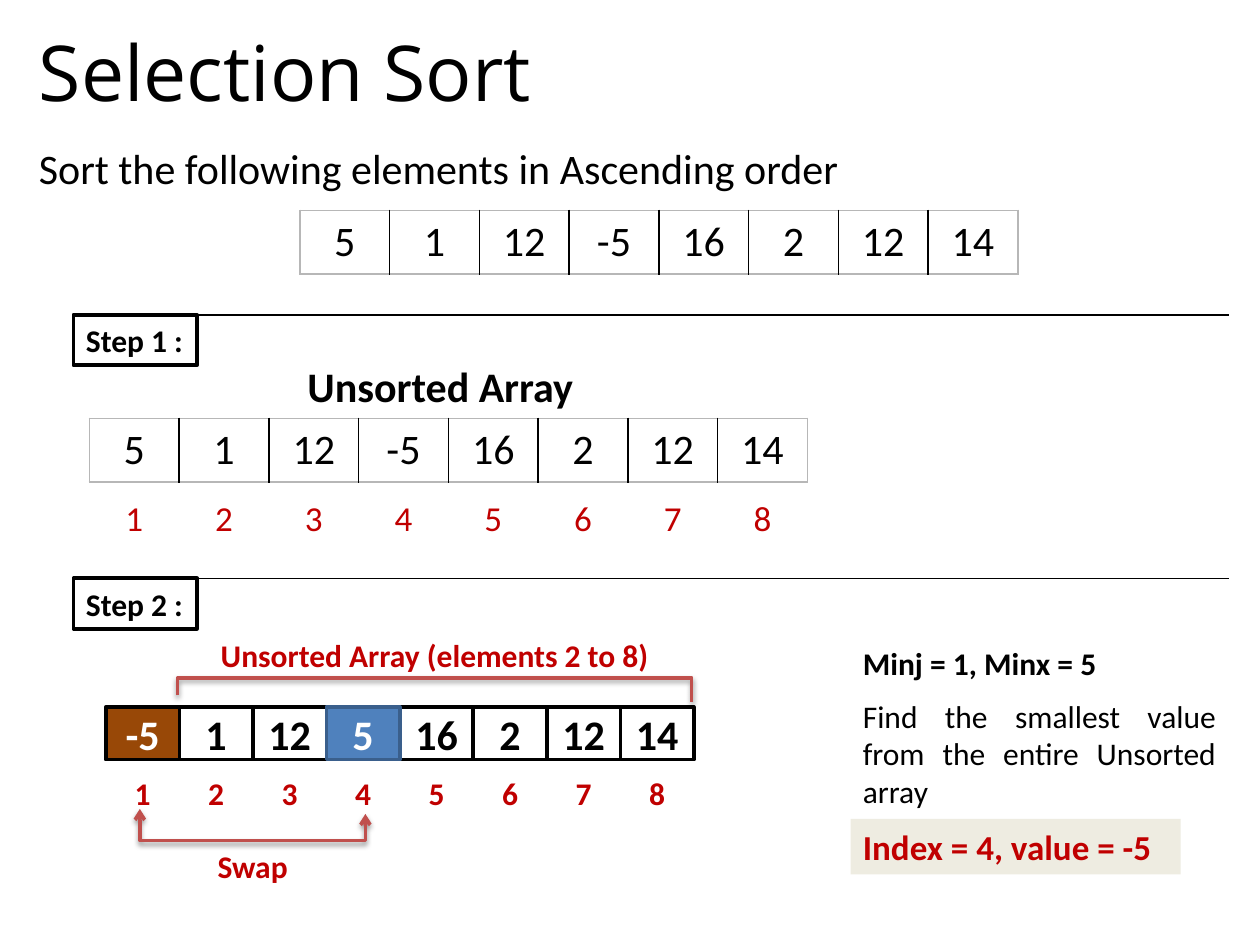
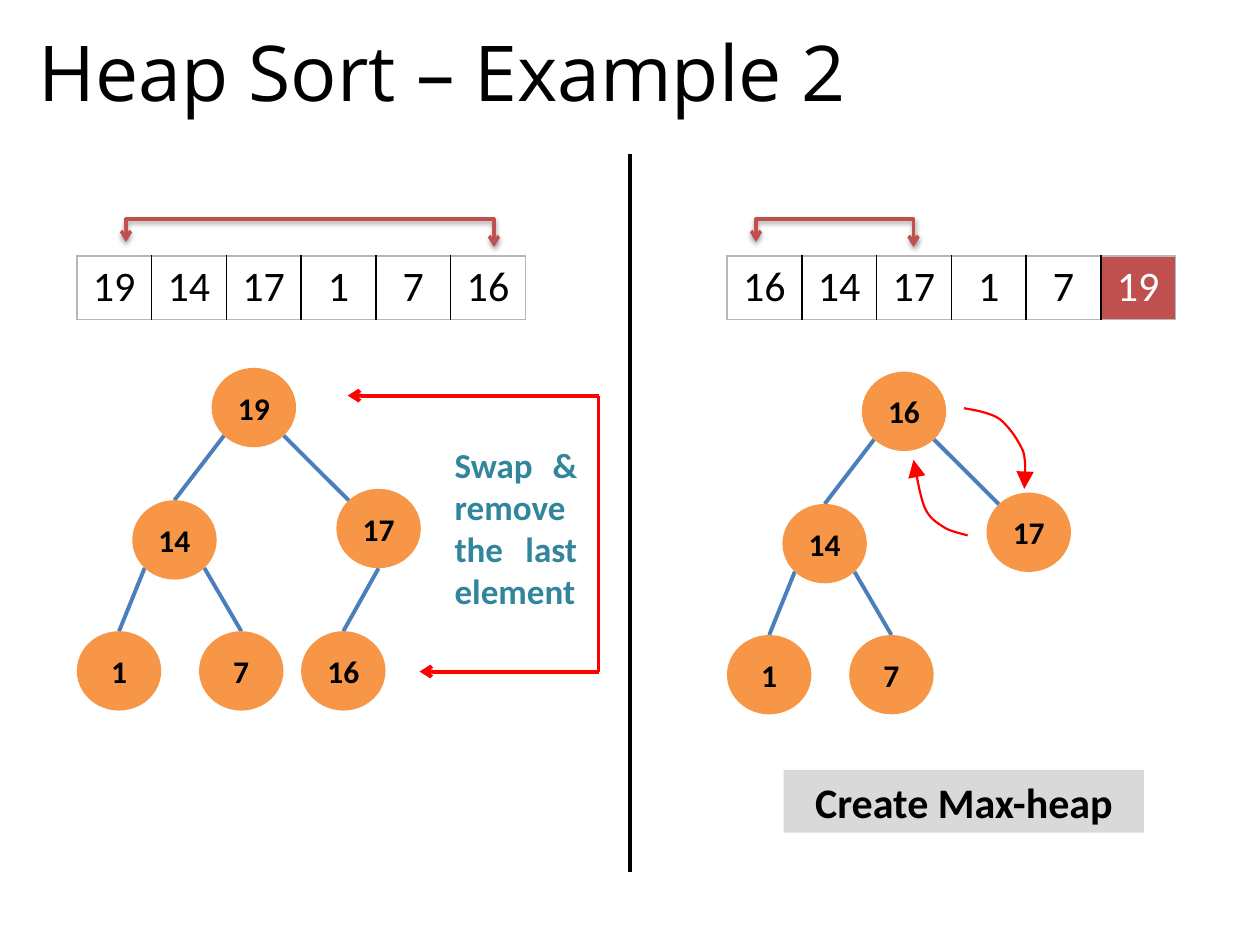
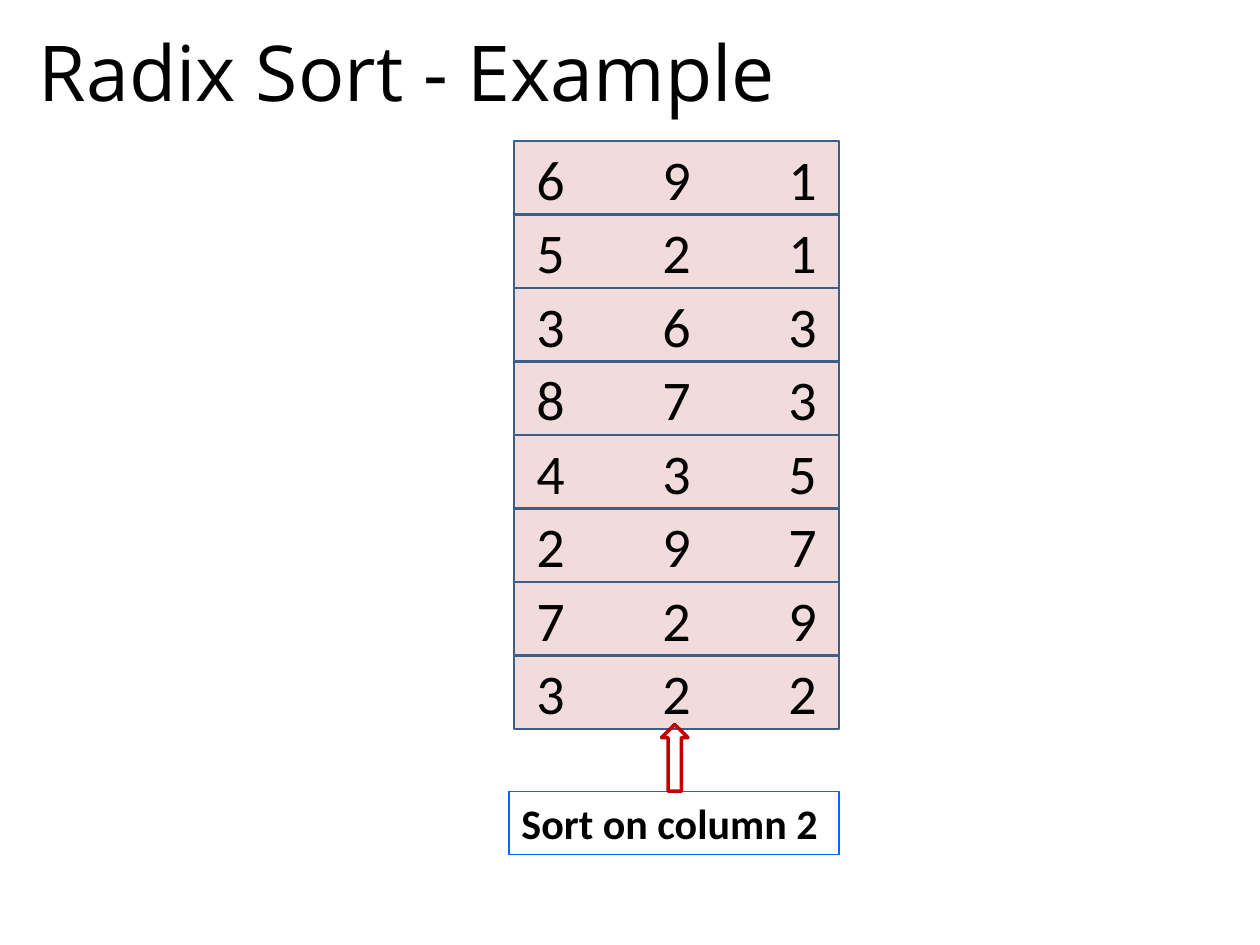
import math
from lxml import etree
from pptx import Presentation, util as u
from pptx.dml.color import RGBColor
from pptx.enum import shapes as sh, text as t
from pptx.oxml.ns import qn

COLS, ROWS = 10, 7.5  # the slide's grid of one-inch squares
UNIT = u.Inches(1)
C = {
    "black": "000000", "white": "FFFFFF", "red": "FF0000", "dark_red": "C00000",
    "brick": "C0504D", "brown": "984807", "blue": "4F81BD", "navy": "3A5F8C",
    "edge": "4B7EBC", "orange": "F79646", "teal": "31859C", "cream": "EEECE1",
    "grey": "D9D9D9", "rule": "B7B7B7", "pink": "F2DCDB", "link": "0066FF",
}
LEFT, CENTER, JUSTIFY = t.PP_ALIGN.LEFT, t.PP_ALIGN.CENTER, t.PP_ALIGN.JUSTIFY
RECT, OVAL = sh.MSO_SHAPE.RECTANGLE, sh.MSO_SHAPE.OVAL
NODE_W, NODE_H = 0.67, 0.63


def grid(*lengths):
    return [round(n * UNIT) for n in lengths]


def rgb(name):
    return RGBColor.from_string(C[name])


def sub(parent, tag, **attrs):
    return etree.SubElement(parent, qn(tag), attrs)


def set_text(tf, text, size, color="black", bold=False, align=LEFT, font="Calibri", tabs=()):
    p = tf.paragraphs[0]
    p.text = text
    p.alignment = align
    if tabs:
        stops = sub(p._p.get_or_add_pPr(), "a:tabLst")
        for pos in grid(*tabs):
            sub(stops, "a:tab", pos=str(pos), algn="l")
    for r in p.runs:
        r.font.size, r.font.bold, r.font.name = u.Pt(size), bold, font
        r.font.color.rgb = rgb(color)


def set_line(sp, color, width, head=None, tail=None):
    """Style the line; solid triangles are drawn large, open arrows at medium size."""
    sp.line.color.rgb = rgb(color)
    sp.line.width = u.Pt(width)
    ln = sp.element.spPr.find(qn("a:ln"))
    for tag, kind in (("a:headEnd", head), ("a:tailEnd", tail)):
        if kind:
            size = "lg" if kind == "triangle" else "med"
            sub(ln, tag, type=kind, w=size, len=size)


def add_text(s, at, text, size, wrap=True, anchor=t.MSO_ANCHOR.TOP, **style):
    tf = s.shapes.add_textbox(*grid(*at)).text_frame
    tf.word_wrap = wrap
    tf.vertical_anchor = anchor
    set_text(tf, text, size, **style)


def add_box(shapes, at, text="", size=18, kind=RECT, fill=None, line=None, width=2,
            anchor=t.MSO_ANCHOR.MIDDLE, wrap=True, **style):
    sp = shapes.add_shape(kind, *grid(*at))
    sp.shadow.inherit = False
    if fill:
        sp.fill.solid()
        sp.fill.fore_color.rgb = rgb(fill)
    else:
        sp.fill.background()
    if line:
        set_line(sp, line, width)
    else:
        sp.line.fill.background()
    if text:
        tf = sp.text_frame
        tf.word_wrap = wrap
        tf.vertical_anchor = anchor
        set_text(tf, text, size, **style)


def add_line(shapes, start, end, color="black", width=2.25, tail=None):
    cn = shapes.add_connector(sh.MSO_CONNECTOR.STRAIGHT, *grid(*start, *end))
    set_line(cn, color, width, tail=tail)
    sub(cn.element.spPr, "a:effectLst")


def add_outline(s, points, color, width, head=None, tail=None, shadow=False):
    """Draw an open, unfilled path through the points."""
    start, *rest = [grid(*pt) for pt in points]
    builder = s.shapes.build_freeform(*start)
    builder.add_line_segments(rest, close=False)
    sp = builder.convert_to_shape()
    sp.fill.background()
    sp.shadow.inherit = False
    set_line(sp, color, width, head, tail)
    if shadow:
        effects = sp.element.spPr.find(qn("a:effectLst"))
        shade = sub(effects, "a:outerShdw", blurRad=str(u.Pt(3.1)), dist=str(u.Pt(1.6)),
                    dir="5400000", rotWithShape="0")
        sub(sub(shade, "a:srgbClr", val=C["black"]), "a:alpha", val="38000")


def add_bracket(s, left, right, bar, left_end, right_end, arrows=True):
    """Join two columns by a horizontal bar with a leg at each end."""
    kind = "arrow" if arrows else None
    add_outline(s, [(left, left_end), (left, bar), (right, bar), (right, right_end)],
                "brick", 2, kind, kind, shadow=True)


def bezier(points, steps=8):
    """Sample a chain of cubic curves given as start, then three points a curve."""
    path = [points[0]]
    for i in range(0, len(points) - 1, 3):
        a, b, c, d = points[i:i + 4]
        for k in range(1, steps + 1):
            f = k / steps
            g = 1 - f
            path.append([g**3 * w + 3 * g * g * f * x + 3 * g * f * f * y + f**3 * z
                         for w, x, y, z in zip(a, b, c, d)])
    return path


def set_border(cell, **sides):
    """Give each named side (L, R, T, B) a colour, or None for no line."""
    tc = cell._tc.get_or_add_tcPr()
    for i, (side, color) in enumerate(sides.items()):
        ln = etree.Element(qn("a:ln" + side), w=str(u.Pt(1)))
        if color:
            sub(sub(ln, "a:solidFill"), "a:srgbClr", val=C[color])
        else:
            sub(ln, "a:noFill")
        tc.insert(i, ln)


def add_array(s, left, top, col_w, values, size=24, color="black", row_h=0.505,
              bordered=True, sorted_from=None):
    n = len(values)
    table = s.shapes.add_table(1, n, *grid(left, top, n * col_w, row_h)).table
    table.first_row = table.horz_banding = False
    outer, inner = ("rule", "black") if bordered else (None, None)
    for i, value in enumerate(values):
        table.columns[i].width = round(col_w * UNIT)
        cell = table.cell(0, i)
        done = sorted_from is not None and i >= sorted_from
        if done:
            cell.fill.solid()
            cell.fill.fore_color.rgb = rgb("brick")
        else:
            cell.fill.background()
        set_text(cell.text_frame, str(value), size, "white" if done else color, align=CENTER)
        set_border(cell, L=inner if i else outer, R=inner if i < n - 1 else outer,
                   T=outer, B=outer)


def add_step(s, top, label):
    left = 7 / 12
    add_line(s.shapes, (left, top), (9.75, top), width=0.75)
    add_box(s.shapes, (left, top, 0.98, 0.4), label, line="black", width=2.25,
            wrap=False, bold=True)


def add_tree(s, left, top, nodes, edges):
    """Nodes map a value to its offset; edges name parent, angle, child, angle."""
    shapes = s.shapes.add_group_shape().shapes

    def rim(value, angle):
        x, y = nodes[value]
        a = math.radians(angle)
        return (left + x + NODE_W / 2 * (1 + math.cos(a)),
                top + y + NODE_H / 2 * (1 + math.sin(a)))

    for parent, out, child, into in edges:
        add_line(shapes, rim(parent, out), rim(child, into), "edge")
    for value, (x, y) in nodes.items():
        add_box(shapes, (left + x, top + y, NODE_W, NODE_H), str(value), kind=OVAL,
                fill="orange", bold=True, align=CENTER)


def add_slide(prs, title):
    s = prs.slides.add_slide(prs.slide_layouts[6])
    add_text(s, (0.21, 0.12, 9.58, 0.88), title, 44, anchor=t.MSO_ANCHOR.MIDDLE,
             font="Open Sans")
    return s


def selection_sort(prs):
    s = add_slide(prs, "Selection Sort")
    values = [5, 1, 12, -5, 16, 2, 12, 14]
    indexes = range(1, len(values) + 1)
    col_w = 5.7 / len(values)
    add_text(s, (0.21, 1.08, 6.75, 0.5), "Sort the following elements in Ascending order", 24)
    add_array(s, 2.38, 1.67, col_w, values)

    add_step(s, 2.5, "Step 1 :")
    add_text(s, (2.33, 2.81, 2.33, 0.5), "Unsorted Array", 24, wrap=False, bold=True,
             align=CENTER)
    add_array(s, 0.71, 3.32, col_w, values)
    add_array(s, 0.71, 3.9, col_w, indexes, 20, "dark_red", 0.43, bordered=False)

    add_step(s, 4.59, "Step 2 :")
    left, pitch, cell_h = 0.84, 7 / 12, 0.42
    swapped = {0: ("brown", "black"), 3: ("blue", "navy")}
    values[0], values[3] = values[3], values[0]
    for i in sorted(range(len(values)), key=lambda i: i in swapped):
        fill, line = swapped.get(i, ("white", "black"))
        add_box(s.shapes, (left + i * pitch, 5.61, pitch, cell_h), str(values[i]), 24,
                fill=fill, line=line, color="white" if i in swapped else "black",
                bold=True, align=CENTER)
    for i in indexes:
        add_box(s.shapes, (left + (i - 1) * pitch, 6.08, pitch, cell_h), str(i),
                fill="white", color="dark_red", bold=True, align=CENTER)
    note = dict(color="dark_red", bold=True, align=CENTER)
    add_bracket(s, 1.41, 5.49, 5.38, 5.52, 5.57, arrows=False)
    add_text(s, (1.41, 5, 4.08, 0.4), "Unsorted Array (elements 2 to 8)", 18, **note)
    add_bracket(s, 1.11, 2.9, 6.67, 6.42, 6.46)
    add_text(s, (1.51, 6.67, 0.99, 0.4), "Swap", 18, **note)

    add_text(s, (6.75, 5.06, 2.06, 0.4), "Minj = 1, Minx = 5", 18, wrap=False, bold=True)
    add_text(s, (6.75, 5.48, 3, 1.01),
             "Find the smallest value from the entire Unsorted array", 18, align=JUSTIFY)
    add_box(s.shapes, (6.75, 6.5, 2.62, 0.44), "Index = 4, value = -5", 20, fill="cream",
            color="dark_red", bold=True)


def heap_sort(prs):
    s = add_slide(prs, "Heap Sort – Example 2")
    left, right, col_w = 0.61, 5.77, 3.56 / 6
    add_line(s.shapes, (COLS / 2, 1.22), (COLS / 2, 6.92))

    small = {14: (0.44, 1.05), 17: (2.06, 0.96), 1: (0, 2.09), 7: (0.97, 2.09)}
    low = [(14, 135, 1, 270), (14, 45, 7, 270)]

    def top_edges(root):
        return [(root, 135, 14, 270), (root, 45, 17, 225)]

    add_tree(s, left, 2.92, {19: (1.07, 0), **small, 16: (1.78, 2.09)},
             top_edges(19) + low + [(17, 90, 16, 270)])
    add_array(s, left, 2.03, col_w, [19, 14, 17, 1, 7, 16])
    add_bracket(s, 1, 3.92, 1.74, 1.92, 1.96)

    swap = s.shapes.add_group_shape().shapes
    side, top, bottom = 4.75, 3.14, 5.33
    add_line(swap, (side, top), (2.76, top), "red", tail="arrow")
    add_line(swap, (side, top), (side, bottom), "red")
    add_line(swap, (side, bottom), (3.33, bottom), "red", tail="arrow")
    add_text(s, (3.51, 3.47, 1.17, 1.45), "Swap & remove the last element", 20,
             color="teal", bold=True, align=JUSTIFY)

    add_tree(s, right, 2.95, {16: (1.07, 0), **small}, top_edges(16) + low)
    add_array(s, right, 2.03, col_w, [16, 14, 17, 1, 7, 19], sorted_from=5)
    add_bracket(s, 6, 7.25, 1.74, 1.92, 1.96)
    rise = [(7.68, 4.25), (7.65, 4.24), (7.55, 4.22), (7.5, 4.19), (7.44, 4.15),
            (7.38, 4.12), (7.34, 4.03), (7.3, 3.94), (7.27, 3.73), (7.25, 3.65)]
    fall = [(7.65, 3.24), (7.7, 3.25), (7.86, 3.27), (7.94, 3.33), (8.01, 3.39),
            (8.08, 3.49), (8.12, 3.58), (8.15, 3.67), (8.13, 3.82), (8.13, 3.88)]
    for curve in (rise, fall):
        add_outline(s, bezier(curve), "red", 1.25, tail="triangle")
    add_box(s.shapes, (6.22, 6.11, 2.86, 0.5), "Create Max-heap", 24, fill="grey",
            bold=True, align=CENTER)


def radix_sort(prs):
    s = add_slide(prs, "Radix Sort - Example")
    row_h = 7 / 12
    for i, number in enumerate([691, 521, 363, 873, 435, 297, 729, 322]):
        add_box(s.shapes, (4.08, 1.12 + i * row_h, 2.58, row_h), "\t".join(str(number)), 32,
                fill="pink", line="navy", width=1.5, align=CENTER, tabs=(1, 2))
    add_box(s.shapes, (4.04, 6.28, 2.62, 0.5), "Sort on column 2", 24, line="link",
            width=0.75, bold=True)
    add_box(s.shapes, (5.25, 5.75, 0.21, 0.53), kind=sh.MSO_SHAPE.UP_ARROW, line="dark_red")


def main():
    prs = Presentation()
    prs.slide_width, prs.slide_height = grid(COLS, ROWS)
    selection_sort(prs)
    heap_sort(prs)
    radix_sort(prs)
    prs.save("out.pptx")


if __name__ == "__main__":
    main()
